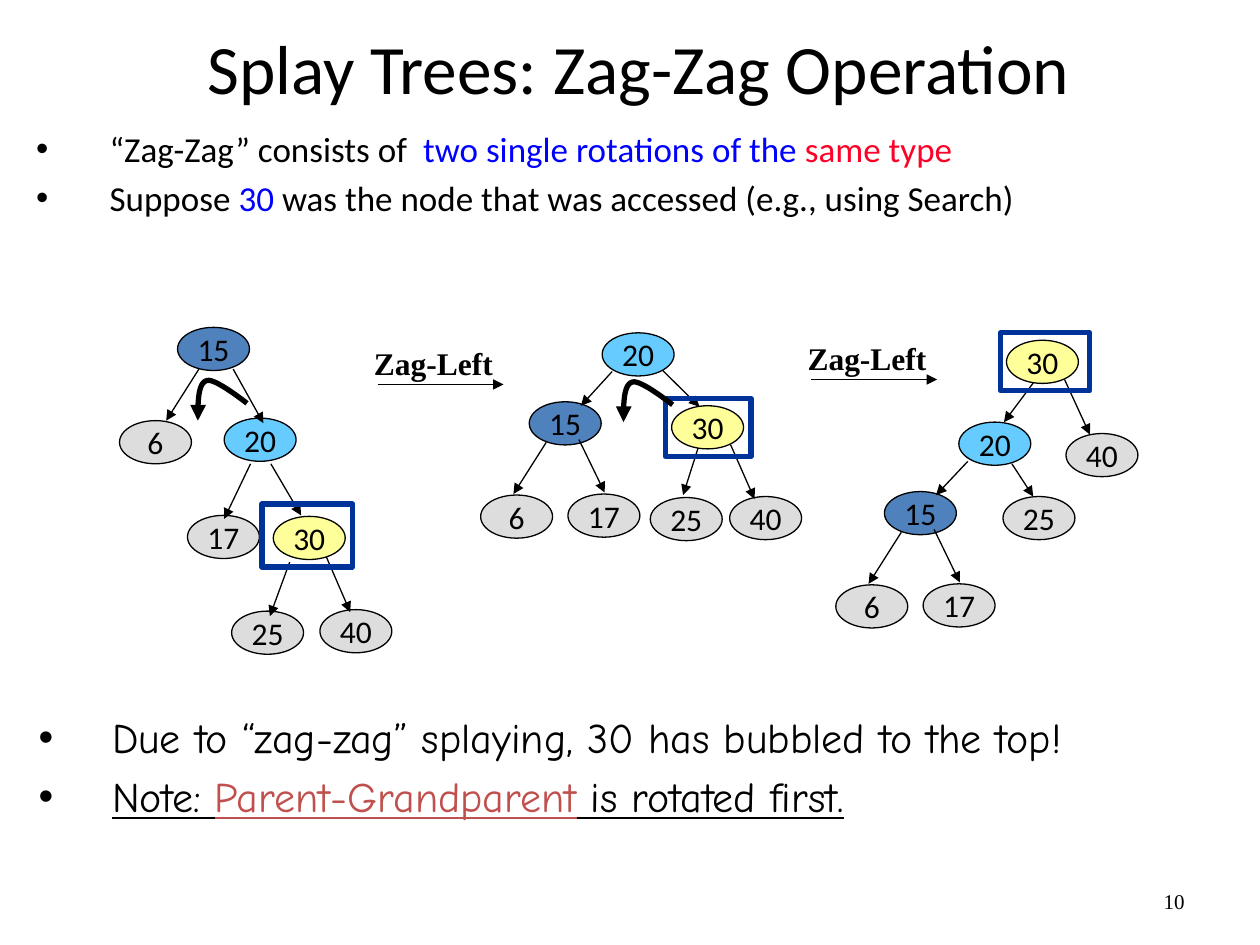
from lxml import etree
from pptx import Presentation
from pptx import util as u
from pptx.dml import color
from pptx.enum import shapes, text
from pptx.oxml import ns

COLORS = {
    "black": "000000", "blue": "0000FF", "red": "FD0128", "brick": "C0504D",
    "parent": "4F81BD", "middle": "66CCFF", "accessed": "FFFF99",
    "leaf": "DDDDDD", "frame": "003399",
}
NODE_FILLS = {"15": "parent", "20": "middle", "30": "accessed"}
NODE_WIDTH, NODE_HEIGHT = 1.45, 0.87

# Bezier control points of the rotation arrow, relative to its top left corner
ROTATION_CURVES = [
    [(0, 0.86), (0, 0.48), (0, 0.1), (0.18, 0.05)],
    [(0.18, 0.05), (0.33, 0), (0.86, 0.41), (0.99, 0.51)],
]

# Nodes: label, left, top. Edges: start x, start y, end x, end y. All in cm.
TREES = [
    {
        "nodes": [("15", 3.58, 6.6), ("6", 2.41, 8.48), ("20", 4.52, 8.43),
                  ("30", 5.51, 10.41), ("17", 3.78, 10.39),
                  ("25", 4.67, 12.32), ("40", 6.45, 12.29)],
        "edges": [(4.01, 7.44, 3.35, 8.48), (4.7, 7.44, 5.31, 8.53),
                  (5.46, 9.35, 6.07, 10.39), (5.05, 9.35, 4.52, 10.46),
                  (5.84, 11.33, 5.44, 12.42), (6.58, 11.23, 7.06, 12.34)],
        "frame": (5.28, 10.16, 1.83, 1.27),
        "rotation": (3.99, 7.62),
    },
    {
        "nodes": [("20", 12.14, 6.71), ("30", 13.54, 8.18),
                  ("25", 13.11, 10.03), ("40", 14.71, 10.01)],
        "edges": [(13.36, 7.47, 14.1, 8.2), (14.07, 9.04, 13.77, 9.98),
                  (12.34, 7.49, 11.71, 8.18), (14.73, 8.97, 15.21, 10.06)],
        "subtree": (10.67, 8.1),
        "frame": (13.41, 8.03, 1.73, 1.17),
        "rotation": (12.57, 7.65),
    },
    {
        "nodes": [("20", 19.33, 8.51), ("30", 20.29, 6.86),
                  ("25", 20.22, 10.01), ("40", 21.49, 8.74)],
        "edges": [(20.4, 9.35, 20.83, 10.01), (20.83, 7.72, 20.24, 8.51),
                  (19.51, 9.3, 18.87, 9.98), (21.46, 7.65, 21.97, 8.76)],
        "subtree": (17.83, 9.91),
        "frame": (20.17, 6.71, 1.8, 1.17),
    },
]
# The subtree 6 - 15 - 17 keeps its form after the first rotation
SUBTREE_NODES = [("15", 0, 0), ("6", -0.98, 1.88), ("17", 0.78, 1.86)]
SUBTREE_EDGES = [(0.34, 0.82, -0.32, 1.86), (1, 0.76, 1.52, 1.83)]


def rgb(name):
    return color.RGBColor.from_string(COLORS[name])


def bezier(points, t):
    weights = ((1 - t) ** 3, 3 * t * (1 - t) ** 2, 3 * t ** 2 * (1 - t), t ** 3)
    return tuple(sum(w * point[axis] for w, point in zip(weights, points))
                 for axis in (0, 1))


class TreeSlide:
    """Holds the style and the slide being drawn; lengths are in cm."""

    font = "Calibri"
    serif = "Times New Roman"
    thin, thick = u.Pt(0.75), u.Pt(3)

    def __init__(self, slide):
        self.slide = slide

    def format_run(self, run, size, font, color_name="black"):
        run.font.size = u.Pt(size)
        run.font.name = font
        run.font.color.rgb = rgb(color_name)

    def outline(self, shape, color_name, width):
        shape.line.color.rgb = rgb(color_name)
        shape.line.width = width

    def arrowhead(self, shape, end):
        etree.SubElement(shape.line._get_or_add_ln(), ns.qn(f"a:{end}"), type="triangle")

    def text_box(self, left, top, width, height):
        box = self.slide.shapes.add_textbox(
            u.Cm(left), u.Cm(top), u.Cm(width), u.Cm(height))
        box.text_frame.word_wrap = True
        return box.text_frame

    def label(self, content, box, size, font, align, bold=False):
        frame = self.text_box(*box)
        frame.text = content
        frame.vertical_anchor = text.MSO_ANCHOR.MIDDLE
        paragraph = frame.paragraphs[0]
        paragraph.alignment = align
        self.format_run(paragraph.runs[0], size, font)
        paragraph.runs[0].font.bold = bold
        return frame

    def bullets(self, items, box, size, font, underlined=()):
        """Each item is a list of (text, colour) runs."""
        frame = self.text_box(*box)
        for index, item in enumerate(items):
            paragraph = frame.paragraphs[0] if index == 0 else frame.add_paragraph()
            paragraph.space_before = u.Pt(size * 0.2)
            properties = paragraph._p.get_or_add_pPr()
            properties.set("marL", str(u.Cm(1.48)))
            properties.set("indent", str(-u.Cm(1.48)))
            etree.SubElement(properties, ns.qn("a:buFont"), typeface="Arial")
            etree.SubElement(properties, ns.qn("a:buChar"), char="•")
            for content, color_name in item:
                run = paragraph.add_run()
                run.text = content
                self.format_run(run, size, font, color_name)
                if index in underlined:
                    run.font.underline = True

    def node(self, content, left, top):
        shape = self.slide.shapes.add_shape(
            shapes.MSO_SHAPE.OVAL, u.Cm(left), u.Cm(top),
            u.Cm(NODE_WIDTH), u.Cm(NODE_HEIGHT))
        shape.shadow.inherit = False
        shape.fill.solid()
        shape.fill.fore_color.rgb = rgb(NODE_FILLS.get(content, "leaf"))
        self.outline(shape, "black", self.thin)
        frame = shape.text_frame
        frame.text = content
        frame.word_wrap = False
        frame.vertical_anchor = text.MSO_ANCHOR.MIDDLE
        frame.margin_left = frame.margin_right = frame.margin_top = frame.margin_bottom = 0
        frame.paragraphs[0].alignment = text.PP_ALIGN.CENTER
        self.format_run(frame.paragraphs[0].runs[0], 18, self.font)

    def arrow(self, *ends):
        connector = self.slide.shapes.add_connector(
            shapes.MSO_CONNECTOR.STRAIGHT, *(u.Cm(value) for value in ends))
        self.outline(connector, "black", self.thin)
        self.arrowhead(connector, "tailEnd")
        etree.SubElement(connector._element.spPr, ns.qn("a:effectLst"))

    def frame(self, *box):
        shape = self.slide.shapes.add_shape(
            shapes.MSO_SHAPE.RECTANGLE, *(u.Cm(value) for value in box))
        shape.shadow.inherit = False
        shape.fill.background()
        self.outline(shape, "frame", self.thick)

    def rotation_arrow(self, left, top, steps=12):
        points = [bezier(curve, step / steps)
                  for curve in ROTATION_CURVES for step in range(steps + 1)]
        points = [(u.Cm(left + x), u.Cm(top + y)) for x, y in points]
        builder = self.slide.shapes.build_freeform(*points[0])
        builder.add_line_segments(points[1:], close=False)
        shape = builder.convert_to_shape()
        shape.shadow.inherit = False
        shape.fill.background()
        self.outline(shape, "black", self.thick)
        self.arrowhead(shape, "headEnd")

    def tree(self, nodes, edges, frame, subtree=None, rotation=None):
        if subtree:
            x, y = subtree
            nodes = nodes + [(name, x + dx, y + dy) for name, dx, dy in SUBTREE_NODES]
            edges = edges + [(x + x1, y + y1, x + x2, y + y2)
                             for x1, y1, x2, y2 in SUBTREE_EDGES]
        for node in nodes:
            self.node(*node)
        for edge in edges:
            self.arrow(*edge)
        self.frame(*frame)
        if rotation:
            self.rotation_arrow(*rotation)

    def zag_step(self, left, top):
        frame = self.label("Zag-Left", (left, top, 2.92, 1.02), 18, self.serif,
                           text.PP_ALIGN.LEFT, bold=True)
        frame.word_wrap = False
        self.arrow(left + 0.32, top + 0.94, left + 2.86, top + 0.94)


def main():
    presentation = Presentation()
    presentation.slide_width, presentation.slide_height = u.Cm(25.4), u.Cm(19.05)
    page = TreeSlide(presentation.slides.add_slide(presentation.slide_layouts[6]))

    page.label("10", (18.21, 17.65, 5.92, 1.02), 12, page.serif, text.PP_ALIGN.RIGHT)
    page.label("Splay Trees: Zag-Zag Operation", (0.76, 0.38, 24.23, 1.93),
               39.6, page.font, text.PP_ALIGN.CENTER)
    page.bullets([
        [("“Zag-Zag” consists of  ", "black"),
         ("two single rotations of the ", "blue"), ("same type", "red")],
        [("Suppose ", "black"), ("30 ", "blue"),
         ("was the node that was accessed (e.g., using Search)", "black")],
    ], (0.48, 2.44, 23.8, 3.02), 20, page.font)
    page.bullets([
        [("Due to “zag-zag” splaying, 30 has bubbled to the top!", "black")],
        [("Note: ", "black"), ("Parent-Grandparent", "brick"),
         (" is rotated first.", "black")],
    ], (0.53, 14.22, 24, 3.18), 24, "Comic Neue", underlined={1})

    for tree in TREES:
        page.tree(**tree)
    page.zag_step(7.29, 6.81)
    page.zag_step(16.03, 6.71)
    presentation.save("out.pptx")


if __name__ == "__main__":
    main()
